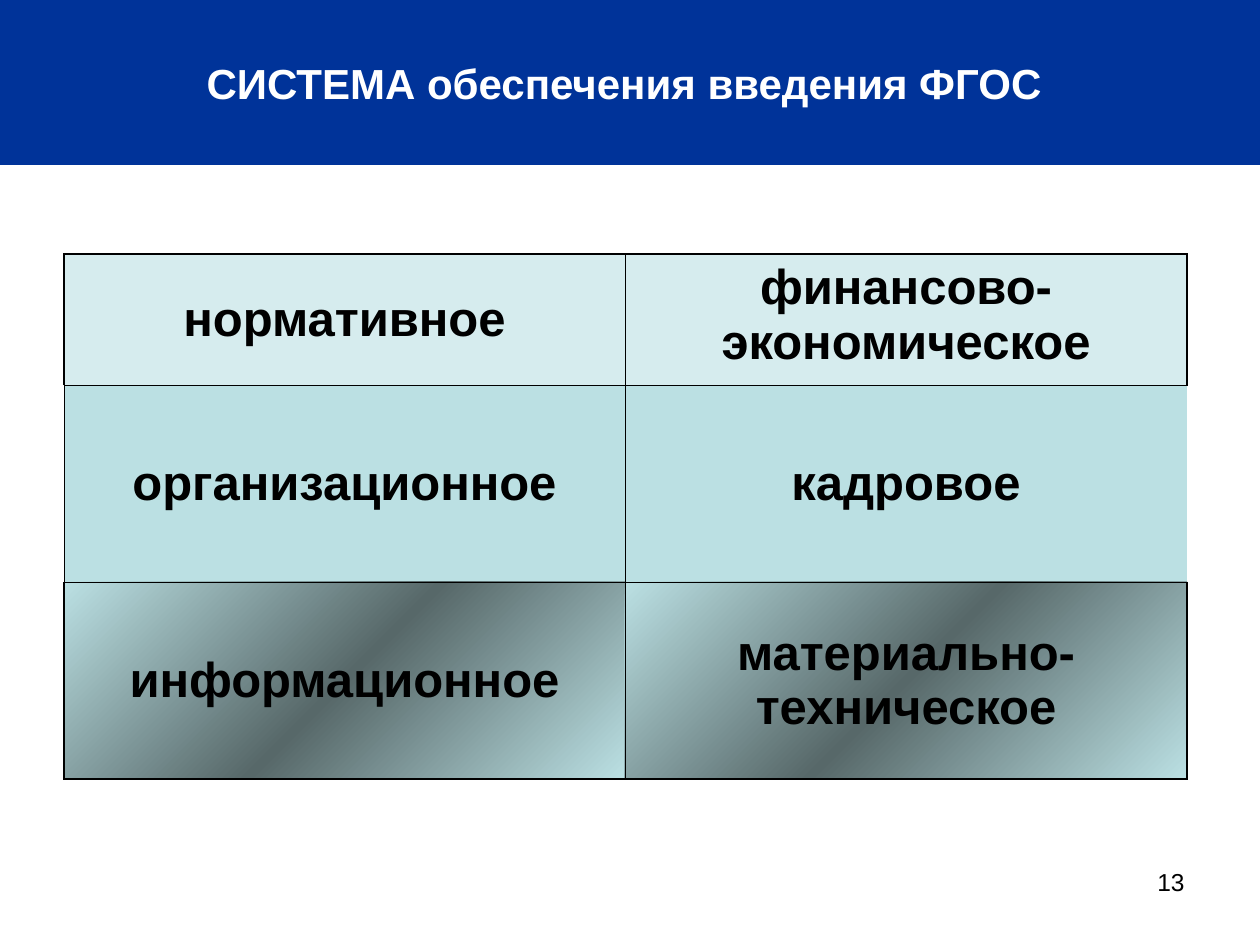
from lxml import etree
from pptx import Presentation
from pptx import util as u
from pptx.dml.color import RGBColor
from pptx.enum import shapes, text
from pptx.oxml import ns

COLORS = {
    "banner": "003399",
    "white": "FFFFFF",
    "black": "000000",
    "pale": "D6ECEE",
    "teal": "BBE0E3",
    "dark": "576869",
}
ROWS = [
    (131, ["нормативное", "финансово-экономическое"]),
    (197, ["организационное", "кадровое"]),
    (197, ["информационное", "материально-техническое"]),
]
COLUMN_WIDTHS = [561, 562]
THIN, THICK = 0.45, 1.08


def px(value):
    return u.Emu(round(value * 914400 / 126))


def box(*lengths):
    return [px(length) for length in lengths]


def write(frame, content, size, color, align, bold=False):
    paragraph = frame.paragraphs[0]
    paragraph.alignment = align
    run = paragraph.add_run()
    run.text = content
    run.font.name = "Arial"
    run.font.size = u.Pt(size)
    run.font.bold = bold
    run.font.color.rgb = RGBColor.from_string(COLORS[color])


def add_banner(slide, content):
    shape = slide.shapes.add_shape(shapes.MSO_SHAPE.RECTANGLE, *box(0, 0, 1260, 165))
    shape.shadow.inherit = False
    shape.fill.solid()
    shape.fill.fore_color.rgb = RGBColor.from_string(COLORS["banner"])
    shape.line.fill.background()
    shape.text_frame.word_wrap = False
    shape.text_frame.vertical_anchor = text.MSO_ANCHOR.MIDDLE
    write(shape.text_frame, content, 24, "white", text.PP_ALIGN.CENTER, True)


def add_page_number(slide, content):
    frame = slide.shapes.add_textbox(*box(903, 861, 294, 66)).text_frame
    frame.word_wrap = True
    write(frame, content, 14, "black", text.PP_ALIGN.RIGHT)


def add_border(cell, side, width):
    properties = cell._tc.get_or_add_tcPr()
    line = etree.SubElement(properties, ns.qn(f"a:ln{side}"), w=str(u.Pt(width)))
    if width:
        fill = etree.SubElement(line, ns.qn("a:solidFill"))
        etree.SubElement(fill, ns.qn("a:srgbClr"), val=COLORS["black"])
    else:
        etree.SubElement(line, ns.qn("a:noFill"))


def fill_gradient(cell):
    properties = cell._tc.get_or_add_tcPr()
    gradient = etree.SubElement(properties, ns.qn("a:gradFill"), rotWithShape="1")
    stops = etree.SubElement(gradient, ns.qn("a:gsLst"))
    for position, color in [(0, "teal"), (50000, "dark"), (100000, "teal")]:
        stop = etree.SubElement(stops, ns.qn("a:gs"), pos=str(position))
        etree.SubElement(stop, ns.qn("a:srgbClr"), val=COLORS[color])
    etree.SubElement(gradient, ns.qn("a:lin"), ang="2700000", scaled="0")


def format_cell(cell, row, column):
    first, middle, last = (row == index for index in range(3))
    right = THIN if column == 0 else 0 if middle else THICK
    add_border(cell, "L", THICK if column == 0 and not middle else THIN)
    add_border(cell, "R", right)
    add_border(cell, "T", THICK if first else THIN)
    add_border(cell, "B", THICK if last else THIN)
    if last:
        fill_gradient(cell)
    else:
        cell.fill.solid()
        cell.fill.fore_color.rgb = RGBColor.from_string(COLORS["pale" if first else "teal"])
    top_aligned = first and column == 1
    cell.vertical_anchor = text.MSO_ANCHOR.TOP if top_aligned else text.MSO_ANCHOR.MIDDLE


def add_support_table(slide):
    height = sum(row_height for row_height, _ in ROWS)
    frame = slide.shapes.add_table(
        len(ROWS), len(COLUMN_WIDTHS), *box(64, 254, sum(COLUMN_WIDTHS), height)
    )
    table = frame.table
    table.first_row = table.horz_banding = False
    for column, width in zip(table.columns, COLUMN_WIDTHS):
        column.width = px(width)
    for row, (row_height, labels) in enumerate(ROWS):
        table.rows[row].height = px(row_height)
        for column, label in enumerate(labels):
            cell = table.cell(row, column)
            format_cell(cell, row, column)
            write(cell.text_frame, label, 28, "black", text.PP_ALIGN.CENTER, True)


def main():
    presentation = Presentation()
    presentation.slide_width, presentation.slide_height = box(1260, 945)
    slide = presentation.slides.add_slide(presentation.slide_layouts[6])
    add_page_number(slide, "13")
    add_banner(slide, "СИСТЕМА обеспечения введения ФГОС ")
    add_support_table(slide)
    presentation.save("out.pptx")


if __name__ == "__main__":
    main()
